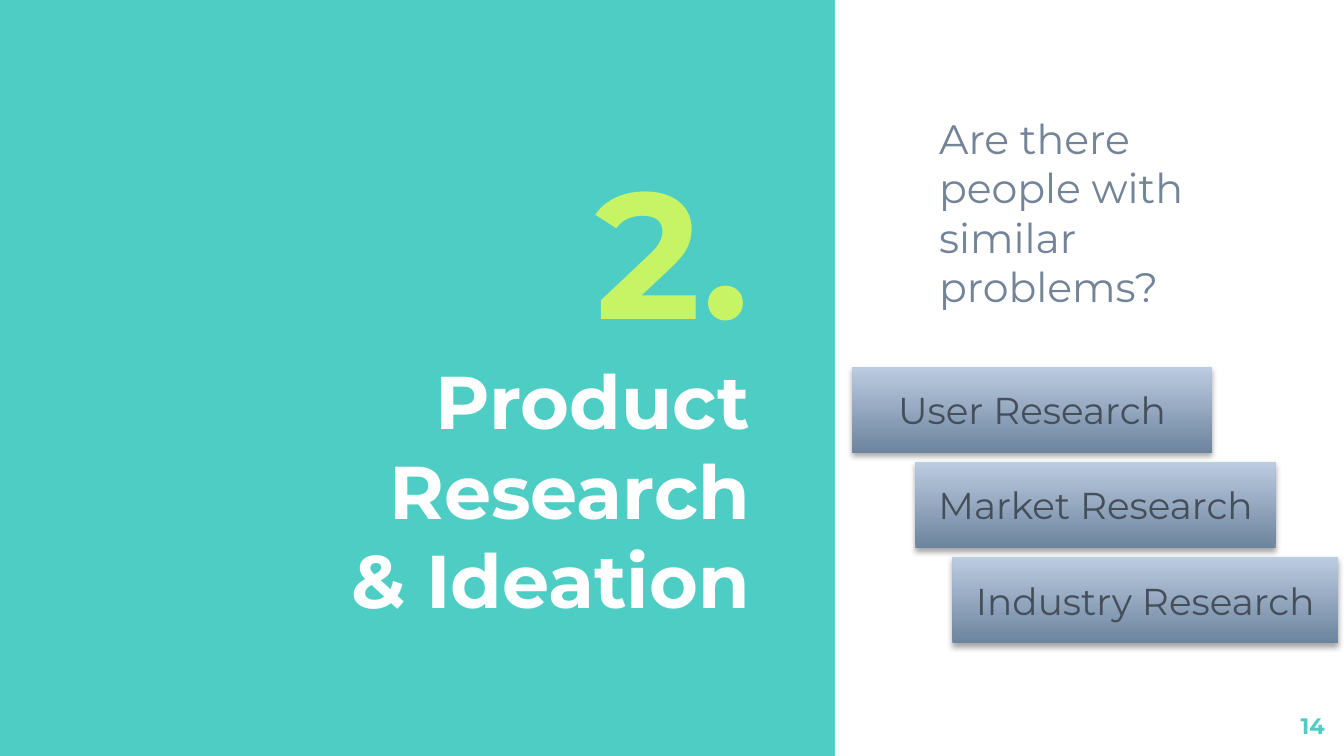
from dataclasses import dataclass

from lxml import etree
from pptx import Presentation
from pptx.dml.color import RGBColor
from pptx.enum.shapes import MSO_SHAPE
from pptx.enum.text import MSO_ANCHOR, MSO_AUTO_SIZE, PP_ALIGN
from pptx.oxml import parse_xml
from pptx.shapes.autoshape import Shape
from pptx.slide import Slide
from pptx.text.text import TextFrame, _Paragraph
from pptx.util import Cm, Pt

RECTANGLE = MSO_SHAPE.RECTANGLE
TOP, MIDDLE, BOTTOM = MSO_ANCHOR.TOP, MSO_ANCHOR.MIDDLE, MSO_ANCHOR.BOTTOM
LEFT, CENTER, RIGHT = PP_ALIGN.LEFT, PP_ALIGN.CENTER, PP_ALIGN.RIGHT
NO_AUTOFIT = MSO_AUTO_SIZE.NONE

TEAL = RGBColor(0x4E, 0xCD, 0xC4)
LIME = RGBColor(0xC7, 0xF4, 0x64)
WHITE = RGBColor(0xFF, 0xFF, 0xFF)
SLATE = RGBColor(0x73, 0x84, 0x98)
CHARCOAL = RGBColor(0x45, 0x4F, 0x5B)
BAR_DARK = RGBColor(0x6D, 0x84, 0x9E)
BAR_LIGHT = RGBColor(0xBC, 0xCC, 0xE1)

FONT = "Montserrat"
DRAWING = "http://schemas.openxmlformats.org/drawingml/2006/main"
BAR_TOP, BAR_STEP, BAR_HEIGHT = 6.93, 1.8, 1.63


@dataclass(frozen=True)
class ResearchBar:
    label: str
    left: float
    width: float


@dataclass(frozen=True)
class TextLabel:
    text: str
    left: float
    top: float
    width: float
    height: float
    size: float
    color: RGBColor
    anchor: MSO_ANCHOR
    alignment: PP_ALIGN
    bold: bool = False


BARS = [
    ResearchBar("User Research", 16.1, 6.81),
    ResearchBar("Market Research", 17.3, 6.81),
    ResearchBar("Industry Research", 18.0, 7.29),
]
LABELS = [
    TextLabel("Are there people with similar problems?", 17.5, 2.13, 6.81, 3.99,
              22, SLATE, BOTTOM, LEFT),
    TextLabel("14", 23.77, 13.21, 1.52, 0.86, 12, TEAL, TOP, RIGHT, True),
]


def prepare_frame(frame: TextFrame, anchor: MSO_ANCHOR) -> None:
    frame.word_wrap = True
    frame.auto_size = NO_AUTOFIT
    frame.vertical_anchor = anchor
    frame.margin_left = frame.margin_right = Cm(0.25)
    frame.margin_top = frame.margin_bottom = Cm(0.25)


def add_run(paragraph: _Paragraph, text: str, size: float,
            color: RGBColor, bold: bool = False) -> None:
    run = paragraph.add_run()
    run.text = text
    run.font.name = FONT
    run.font.size = Pt(size)
    run.font.bold = bold
    run.font.color.rgb = color


def add_shadow(shape: Shape) -> None:
    shape.shadow.inherit = False
    effects = shape.element.spPr.find(f"{{{DRAWING}}}effectLst")
    shadow = etree.fromstring(
        f'<a:outerShdw xmlns:a="{DRAWING}" blurRad="{Pt(3.1)}" dist="{Pt(1.8)}" '
        'dir="5400000" rotWithShape="0"><a:srgbClr val="000000">'
        '<a:alpha val="35000"/></a:srgbClr></a:outerShdw>'
    )
    effects.append(parse_xml(etree.tostring(shadow)))


def add_panel(slide: Slide) -> None:
    panel = slide.shapes.add_shape(RECTANGLE, Cm(15.78), 0, Cm(9.62), Cm(14.29))
    panel.shadow.inherit = False
    panel.fill.solid()
    panel.fill.fore_color.rgb = WHITE
    panel.line.fill.background()


def add_title(slide: Slide) -> None:
    title = slide.shapes.title
    title.left, title.top = Cm(1.9), Cm(8.05)
    title.width, title.height = Cm(12.52), Cm(3.99)
    frame = title.text_frame
    prepare_frame(frame, BOTTOM)
    number, heading = frame.paragraphs[0], frame.add_paragraph()
    for paragraph in (number, heading):
        paragraph.alignment = RIGHT
        paragraph.line_spacing = 1.0
        paragraph.space_before = Pt(0)
    add_run(number, "2.", 96, LIME, True)
    for index, line in enumerate(("Product", "Research", "& Ideation")):
        if index:
            heading.add_line_break()
        add_run(heading, line, 40, WHITE, True)


def add_label(slide: Slide, label: TextLabel) -> None:
    box = slide.shapes.add_textbox(
        Cm(label.left), Cm(label.top), Cm(label.width), Cm(label.height))
    prepare_frame(box.text_frame, label.anchor)
    paragraph = box.text_frame.paragraphs[0]
    paragraph.alignment = label.alignment
    add_run(paragraph, label.text, label.size, label.color, label.bold)


def add_bar(slide: Slide, bar: ResearchBar, top: float) -> None:
    shape = slide.shapes.add_shape(
        RECTANGLE, Cm(bar.left), Cm(top), Cm(bar.width), Cm(BAR_HEIGHT))
    shape.fill.gradient()
    shape.fill.gradient_angle = 90
    for stop, color in zip(shape.fill.gradient_stops, (BAR_DARK, BAR_LIGHT)):
        stop.color.rgb = color
    shape.line.fill.background()
    add_shadow(shape)
    prepare_frame(shape.text_frame, MIDDLE)
    paragraph = shape.text_frame.paragraphs[0]
    paragraph.alignment = CENTER
    add_run(paragraph, bar.label, 20, CHARCOAL)


def main() -> None:
    presentation = Presentation()
    presentation.slide_width, presentation.slide_height = Cm(25.4), Cm(14.29)
    slide = presentation.slides.add_slide(presentation.slide_layouts[5])
    slide.background.fill.solid()
    slide.background.fill.fore_color.rgb = TEAL
    add_panel(slide)
    add_title(slide)
    for label in LABELS:
        add_label(slide, label)
    for index, bar in enumerate(BARS):
        add_bar(slide, bar, BAR_TOP + index * BAR_STEP)
    presentation.save("out.pptx")


if __name__ == "__main__":
    main()
